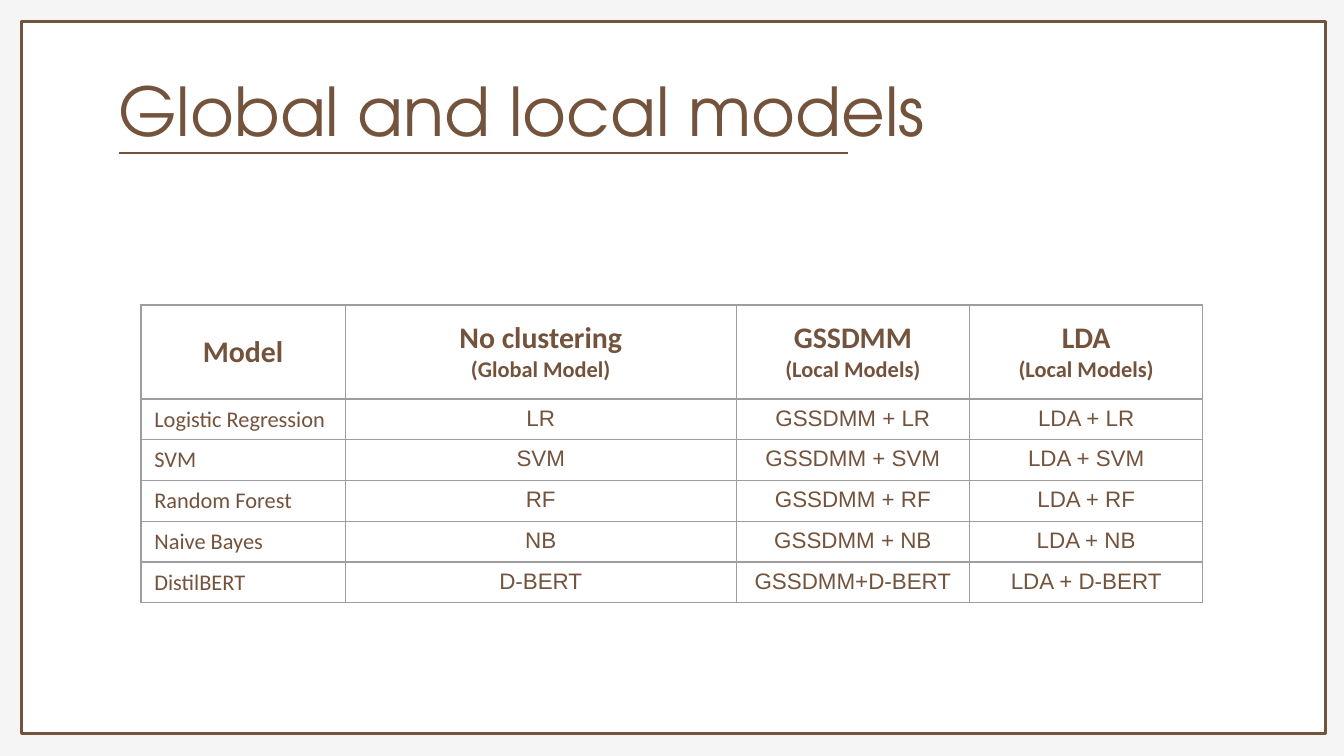
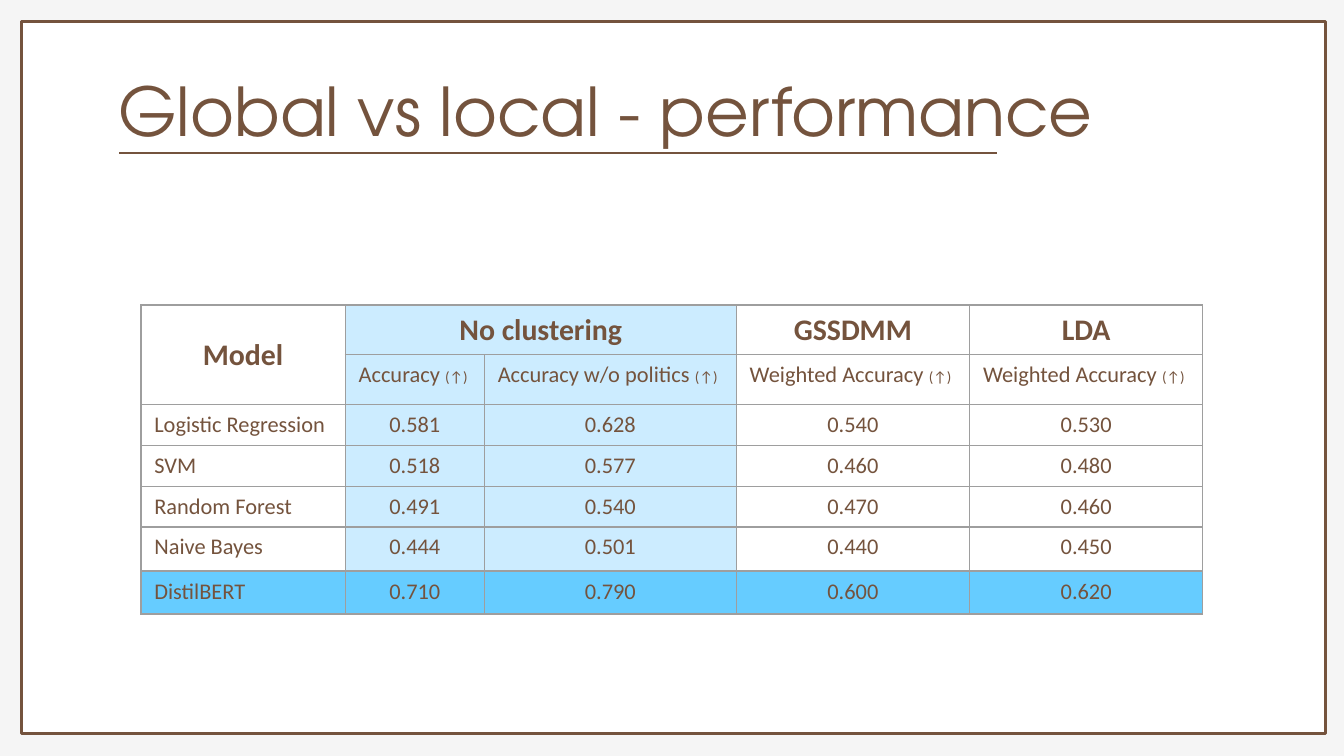
from lxml.etree import SubElement
from pptx import Presentation
from pptx.dml.color import RGBColor
from pptx.enum.shapes import MSO_CONNECTOR, MSO_SHAPE
from pptx.enum.text import MSO_ANCHOR, PP_ALIGN
from pptx.oxml.ns import qn
from pptx.util import Pt

BROWN = RGBColor(0x74, 0x53, 0x3D)
WHITE = RGBColor(0xFF, 0xFF, 0xFF)
PAPER = RGBColor(0xF5, 0xF5, 0xF5)
GRID = RGBColor(0x9E, 0x9E, 0x9E)
PALE_BLUE = RGBColor(0xCC, 0xEC, 0xFF)
BLUE = RGBColor(0x66, 0xCC, 0xFF)

TITLE_FONT, BODY_FONT, PLAIN_FONT = "TeX Gyre Adventor", "Calibri", "Arial"
TITLE_SIZE, HEAD_SIZE, BODY_SIZE, ARROW_SIZE = 36, 16, 12, 8

MODELS = ["Logistic Regression", "SVM", "Random Forest", "Naive Bayes", "DistilBERT"]
MODEL_WIDTH, LOCAL_WIDTH = 109.5, 125
BODY_ROW = 21.85


def write(frame, text, size=BODY_SIZE, font=BODY_FONT, bold=False,
          align=PP_ALIGN.LEFT, new_paragraph=False):
    """Append a run to the last paragraph of the frame, or to a new one."""
    paragraph = frame.add_paragraph() if new_paragraph else frame.paragraphs[-1]
    paragraph.alignment = align
    run = paragraph.add_run()
    run.text = text
    run.font.size = Pt(size)
    run.font.name = font
    run.font.bold = bold
    run.font.color.rgb = BROWN


def outline_cell(cell):
    properties = cell._tc.get_or_add_tcPr()
    for side in ("a:lnL", "a:lnR", "a:lnT", "a:lnB"):
        edge = SubElement(properties, qn(side), w=str(Pt(0.75)))
        fill = SubElement(edge, qn("a:solidFill"))
        SubElement(fill, qn("a:srgbClr"), val=str(GRID))


class Deck:
    """Holds the presentation, its style and the current slide."""

    def __init__(self):
        self.presentation = Presentation()
        self.presentation.slide_width = Pt(720)
        self.presentation.slide_height = Pt(405)
        self.slide = None

    def start_slide(self, title, rule_end):
        blank = self.presentation.slide_layouts[6]
        self.slide = self.presentation.slides.add_slide(blank)
        background = self.slide.background.fill
        background.solid()
        background.fore_color.rgb = PAPER
        self.frame()
        self.title(title)
        self.rule(64, rule_end, 82)

    def frame(self):
        frame = self.slide.shapes.add_shape(
            MSO_SHAPE.RECTANGLE, Pt(11.5), Pt(11.5), Pt(698.5), Pt(381.6))
        frame.shadow.inherit = False
        frame.fill.solid()
        frame.fill.fore_color.rgb = WHITE
        frame.line.color.rgb = BROWN
        frame.line.width = Pt(1.5)

    def title(self, text):
        box = self.slide.shapes.add_textbox(Pt(56.2), Pt(30.2), Pt(586), Pt(61.2))
        box.line.color.rgb = WHITE
        box.line.width = Pt(0.75)
        frame = box.text_frame
        frame.word_wrap = True
        frame.margin_left = frame.margin_right = Pt(7.2)
        frame.margin_top = frame.margin_bottom = Pt(7.2)
        write(frame, text, size=TITLE_SIZE, font=TITLE_FONT)

    def rule(self, start, end, y):
        rule = self.slide.shapes.add_connector(
            MSO_CONNECTOR.STRAIGHT, Pt(start), Pt(y), Pt(end), Pt(y))
        rule.line.color.rgb = BROWN
        rule.line.width = Pt(1.5)
        SubElement(rule._element.spPr, qn("a:effectLst"))

    def table(self, widths, heights):
        table = self.slide.shapes.add_table(
            len(heights), len(widths), Pt(75.5), Pt(163.4),
            Pt(sum(widths)), Pt(sum(heights))).table
        table.first_row = table.horz_banding = False
        for column, width in zip(table.columns, widths):
            column.width = Pt(width)
        for row, height in zip(table.rows, heights):
            row.height = Pt(height)
        for cell in table.iter_cells():
            outline_cell(cell)
            cell.fill.background()
        return table

    def heading(self, cell, text, note=None, anchor=MSO_ANCHOR.MIDDLE):
        cell.vertical_anchor = anchor
        style = dict(bold=True, align=PP_ALIGN.CENTER)
        write(cell.text_frame, text, size=HEAD_SIZE, **style)
        if note:
            write(cell.text_frame, note, new_paragraph=True, **style)

    def model_rows(self, table, first_row, results, font):
        for row, (model, values) in enumerate(zip(MODELS, results), first_row):
            write(table.cell(row, 0).text_frame, model)
            for column, value in enumerate(values, 1):
                write(table.cell(row, column).text_frame, value,
                      font=font, align=PP_ALIGN.CENTER)


def shade(cell, color):
    cell.fill.solid()
    cell.fill.fore_color.rgb = color


def build_models_slide(deck):
    deck.start_slide("Global and local models", 454.3)
    table = deck.table([MODEL_WIDTH, 209.5, LOCAL_WIDTH, LOCAL_WIDTH],
                       [50.4] + [BODY_ROW] * len(MODELS))
    headings = [("Model", None), ("No clustering", "(Global Model)"),
                ("GSSDMM", "(Local Models)"), ("LDA", "(Local Models)")]
    for column, (name, scope) in enumerate(headings):
        deck.heading(table.cell(0, column), name, scope)
    names = [(short, f"GSSDMM + {short}", f"LDA + {short}")
             for short in ("LR", "SVM", "RF", "NB")]
    names.append(("D-BERT", "GSSDMM+D-BERT", "LDA + D-BERT"))
    deck.model_rows(table, 1, names, PLAIN_FONT)


def build_performance_slide(deck):
    deck.start_slide("Global vs local - performance", 534.2)
    table = deck.table([MODEL_WIDTH, 74.5, 135, LOCAL_WIDTH, LOCAL_WIDTH],
                       [26.75] * 2 + [BODY_ROW] * 3 + [23.6, 23])
    for row in range(len(table.rows) - 1):
        for column in (1, 2):
            shade(table.cell(row, column), PALE_BLUE)
    for column in range(len(table.columns)):
        shade(table.cell(len(table.rows) - 1, column), BLUE)

    table.cell(0, 0).merge(table.cell(1, 0))
    table.cell(0, 1).merge(table.cell(0, 2))
    deck.heading(table.cell(0, 0), "Model")
    for column, name in ((1, "No clustering"), (3, "GSSDMM"), (4, "LDA")):
        deck.heading(table.cell(0, column), name, anchor=MSO_ANCHOR.TOP)

    measures = ["Accuracy", "Accuracy w/o politics"] + ["Weighted Accuracy"] * 2
    for column, measure in enumerate(measures, 1):
        frame = table.cell(1, column).text_frame
        write(frame, f"{measure} ")
        write(frame, "(↑)", size=ARROW_SIZE)

    scores = [("0.581", "0.628", "0.540", "0.530"),
              ("0.518", "0.577", "0.460", "0.480"),
              ("0.491", "0.540", "0.470", "0.460"),
              ("0.444", "0.501", "0.440", "0.450"),
              ("0.710", "0.790", "0.600", "0.620")]
    deck.model_rows(table, 2, scores, BODY_FONT)


def main():
    deck = Deck()
    build_models_slide(deck)
    build_performance_slide(deck)
    deck.presentation.save("out.pptx")


if __name__ == "__main__":
    main()
